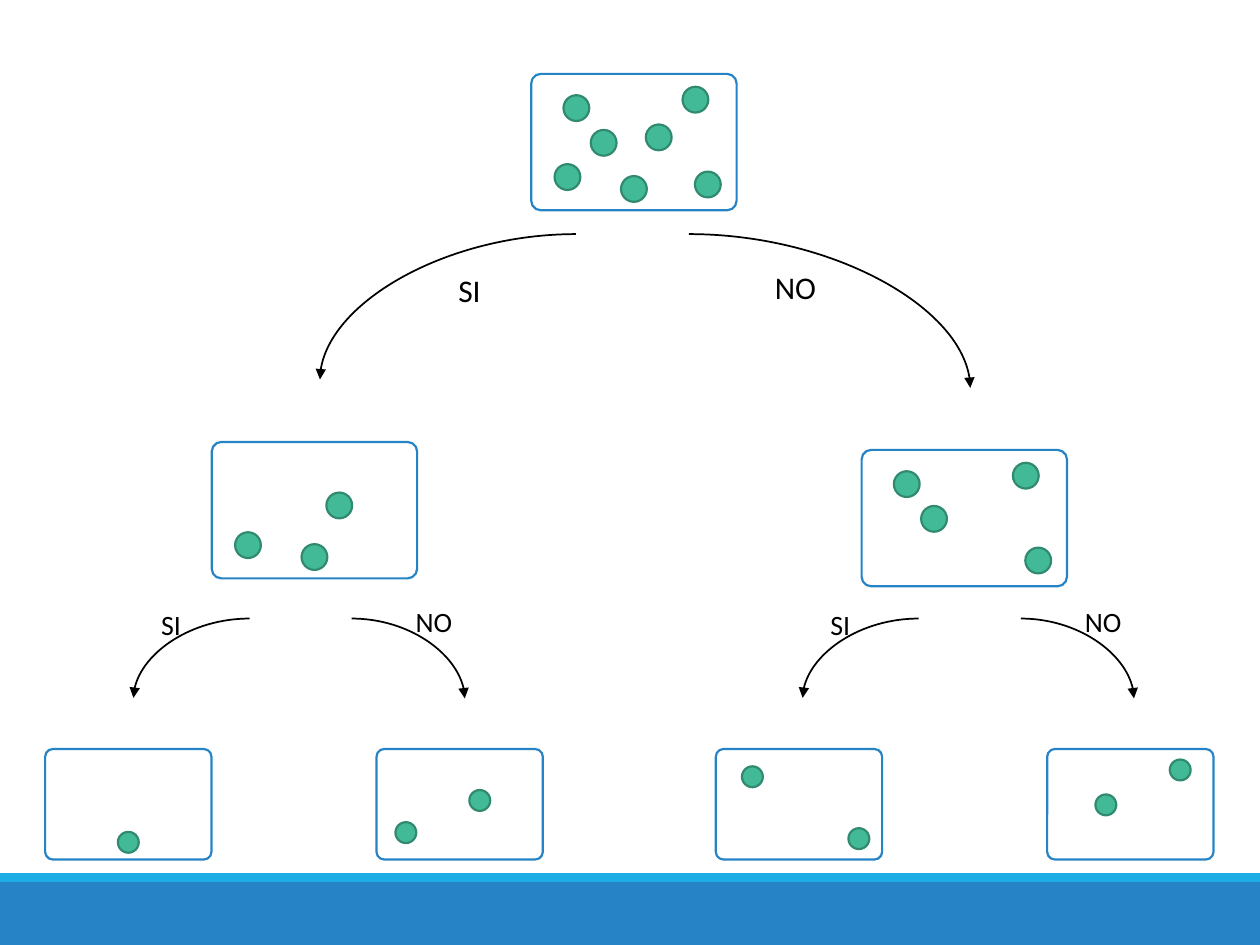
from pptx import Presentation
from pptx.dml.color import RGBColor
from pptx.enum.shapes import MSO_CONNECTOR as Link, MSO_SHAPE as Form
from pptx.enum.text import MSO_AUTO_SIZE as Fit
from pptx.oxml.ns import qn
from pptx.util import Cm, Pt
from lxml.etree import SubElement

# Sample positions inside a full-size node, in cm
DOTS = {
    "a": (0.47, 1.82), "b": (1.2, 1.13), "c": (2.31, 1.02), "d": (3.3, 1.97),
    "e": (0.65, 0.43), "f": (1.81, 2.06), "g": (3.05, 0.26),
}
LEAF_SCALE = 0.81
BRANCH_GAP = 13.49  # from the left subtree to the right one


def color(value):
    return RGBColor.from_string(value)


class TreeSlide:
    font = "Calibri"
    ink = "000000"
    blue, sky = "2683C6", "1CADE4"
    green, dark_green = "42BA97", "318A70"

    def __init__(self, deck):
        self.page = deck.slides.add_slide(deck.slide_layouts[6])

    def shape(self, parent, form, left, top, width, height, fill, line=None):
        shape = parent.add_shape(form, Cm(left), Cm(top), Cm(width), Cm(height))
        shape.shadow.inherit = False
        shape.fill.solid()
        shape.fill.fore_color.rgb = color(fill)
        if line:
            shape.line.color.rgb = color(line)
            shape.line.width = Pt(1.25)
        else:
            shape.line.fill.background()
        return shape

    def band(self, top, height, fill):
        self.shape(self.page.shapes, Form.RECTANGLE, 0, top, 25.4, height, fill)

    def node(self, left, top, samples, scale=1):
        group = self.page.shapes.add_group_shape().shapes
        frame = self.shape(group, Form.ROUNDED_RECTANGLE, left, top,
                           4.14 * scale, 2.75 * scale, "FFFFFF", self.blue)
        frame.adjustments[0] = 0.07
        for sample in samples:
            x, y = DOTS[sample]
            self.shape(group, Form.OVAL, left + x * scale, top + y * scale,
                       0.52 * scale, 0.52 * scale, self.green, self.dark_green)

    def arrow(self, x1, y1, x2, y2):
        arrow = self.page.shapes.add_connector(Link.CURVE, Cm(x1), Cm(y1), Cm(x2), Cm(y2))
        arrow.line.color.rgb = color(self.ink)
        arrow.line.width = Pt(1)
        properties = arrow._element.spPr
        # A quarter bend: leaves sideways, arrives downwards
        properties.find(qn("a:prstGeom")).set("prst", "curvedConnector2")
        if x2 < x1:
            frame = properties.find(qn("a:xfrm"))
            frame.attrib.pop("flipH")
            frame.set("rot", "10800000")
            frame.set("flipV", "1")
        SubElement(properties.find(qn("a:ln")), qn("a:tailEnd"), type="triangle")
        SubElement(properties, qn("a:effectLst"))

    def label(self, text, left, top, width, size):
        box = self.page.shapes.add_textbox(Cm(left), Cm(top), Cm(width), Cm(size * 0.057))
        box.text_frame.word_wrap = False
        box.text_frame.auto_size = Fit.SHAPE_TO_FIT_TEXT
        para = box.text_frame.paragraphs[0]
        para.text = text
        para.font.name = self.font
        para.font.size = Pt(size)
        para.font.color.rgb = color(self.ink)


def main():
    deck = Presentation()
    deck.slide_width, deck.slide_height = Cm(25.4), Cm(19.05)
    tree = TreeSlide(deck)

    # Footer bands
    tree.band(17.78, 1.27, tree.blue)
    tree.band(17.6, 0.18, tree.sky)

    # Root and its two children
    tree.node(10.71, 1.49, "abcdefg")
    tree.node(4.27, 8.91, "acf")
    tree.node(17.37, 9.07, "bdeg")
    tree.arrow(11.61, 4.72, 6.45, 7.65)
    tree.arrow(13.89, 4.72, 19.56, 7.82)
    tree.label("SI", 8.99, 5.33, 0.97, 18)
    tree.label("NO", 15.37, 5.28, 1.35, 18)

    # Branches below each child
    for shift in (0, BRANCH_GAP):
        tree.arrow(5.03 + shift, 12.47, 2.69 + shift, 14.07)
        tree.arrow(7.09 + shift, 12.47, 9.37 + shift, 14.08)
        tree.label("SI", 3 + shift, 12.12, 0.91, 16)
        tree.label("NO", 8.13 + shift, 12.07, 1.27, 16)

    # Leaves
    for left, samples in ((0.91, "f"), (7.59, "ac"), (14.43, "de"), (21.11, "bg")):
        tree.node(left, 15.1, samples, LEAF_SCALE)

    deck.save("out.pptx")


if __name__ == "__main__":
    main()
